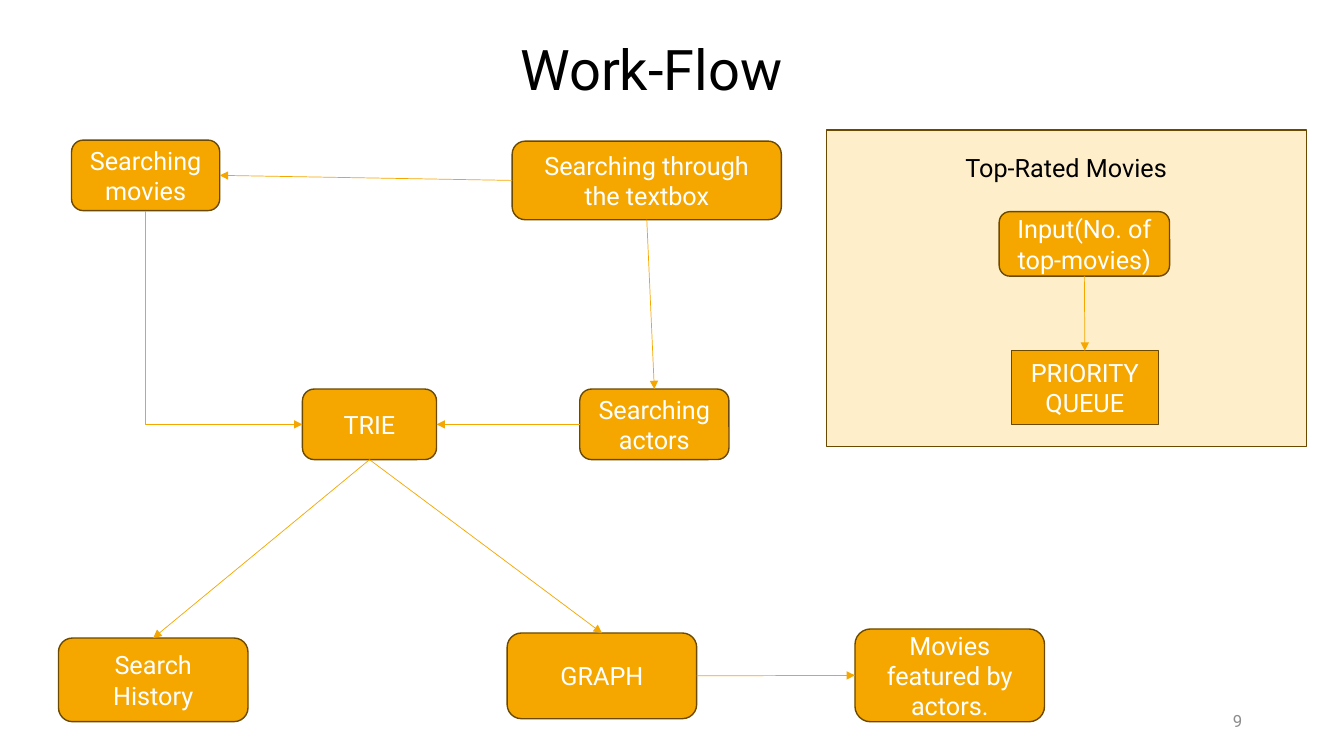
from dataclasses import dataclass
from enum import IntEnum

from lxml.etree import SubElement
from pptx import Presentation
from pptx.dml.color import RGBColor
from pptx.enum.shapes import MSO_CONNECTOR, MSO_SHAPE
from pptx.enum.text import MSO_ANCHOR, PP_ALIGN
from pptx.oxml.ns import qn
from pptx.shapes.autoshape import Shape
from pptx.shapes.connector import Connector
from pptx.slide import Slide
from pptx.util import Emu, Inches, Pt

WIDTH, HEIGHT = Inches(13.33), Inches(7.5)
COLUMNS, ROWS = 133.3, 75


@dataclass(frozen=True)
class Theme:
    font: str = "Roboto"
    node: RGBColor = RGBColor(0xF5, 0xA7, 0x00)
    border: RGBColor = RGBColor(0x6B, 0x49, 0x00)
    panel: RGBColor = RGBColor(0xFF, 0xEE, 0xCA)
    text: RGBColor = RGBColor(0x00, 0x00, 0x00)
    node_text: RGBColor = RGBColor(0xFF, 0xFF, 0xFF)
    number: RGBColor = RGBColor(0x8C, 0x8C, 0x8C)
    title_size: Pt = Pt(40)
    body_size: Pt = Pt(18)
    number_size: Pt = Pt(12)
    border_width: Pt = Pt(1)
    arrow_width: Pt = Pt(0.5)


THEME = Theme()


class Side(IntEnum):
    """Connection sites of a rectangle."""
    TOP = 0
    LEFT = 1
    BOTTOM = 2
    RIGHT = 3


@dataclass(frozen=True)
class Area:
    """A place on the grid, in columns and rows."""
    col: float
    row: float
    cols: float
    rows: float

    def box(self) -> tuple[Emu, Emu, Emu, Emu]:
        col_width, row_height = WIDTH / COLUMNS, HEIGHT / ROWS
        return (Emu(round(self.col * col_width)), Emu(round(self.row * row_height)),
                Emu(round(self.cols * col_width)), Emu(round(self.rows * row_height)))


@dataclass(frozen=True)
class Node:
    text: str
    area: Area
    kind: MSO_SHAPE = MSO_SHAPE.ROUNDED_RECTANGLE


@dataclass(frozen=True)
class Arrow:
    start: str
    start_side: Side
    end: str
    end_side: Side
    bent: bool = False


TITLE = Area(19.3, 2.9, 90.6, 7.7)
PANEL = Area(82, 12.9, 47.6, 31.4)
PANEL_TITLE = Area(90.1, 14.6, 31.3, 4)
NUMBER = Area(94.2, 69.5, 30, 4)

NODES = {
    "movies": Node("Searching movies", Area(7.1, 13.9, 14.7, 7)),
    "textbox": Node("Searching through the textbox", Area(50.8, 14, 26.7, 7.8)),
    "trie": Node("TRIE", Area(30, 38.6, 13.3, 7)),
    "actors": Node("Searching actors", Area(57.5, 38.6, 14.8, 7)),
    "history": Node("Search History", Area(5.8, 63.3, 18.8, 8.3)),
    "graph": Node("GRAPH", Area(50.3, 62.8, 18.8, 8.5)),
    "featured": Node("Movies featured by actors.", Area(84.8, 62.4, 18.8, 9.2)),
    "input": Node("Input(No. of top-movies)", Area(99.1, 21, 16.9, 6.4)),
    "queue": Node("PRIORITY QUEUE", Area(100.3, 34.8, 14.6, 7.3), MSO_SHAPE.RECTANGLE),
}

ARROWS = [
    Arrow("textbox", Side.LEFT, "movies", Side.RIGHT),
    Arrow("textbox", Side.BOTTOM, "actors", Side.TOP),
    Arrow("movies", Side.BOTTOM, "trie", Side.LEFT, bent=True),
    Arrow("actors", Side.LEFT, "trie", Side.RIGHT),
    Arrow("trie", Side.BOTTOM, "history", Side.TOP),
    Arrow("trie", Side.BOTTOM, "graph", Side.TOP),
    Arrow("graph", Side.RIGHT, "featured", Side.LEFT),
    Arrow("input", Side.BOTTOM, "queue", Side.TOP),
]


def write(sp: Shape, text: str, size: Pt, color: RGBColor,
          align: PP_ALIGN = PP_ALIGN.CENTER,
          anchor: MSO_ANCHOR = MSO_ANCHOR.MIDDLE) -> None:
    tf = sp.text_frame
    tf.text = text
    tf.word_wrap = True
    tf.vertical_anchor = anchor
    p = tf.paragraphs[0]
    p.alignment = align
    p.font.name = THEME.font
    p.font.size = size
    p.font.color.rgb = color


def add_box(s: Slide, kind: MSO_SHAPE, area: Area, fill: RGBColor) -> Shape:
    sp = s.shapes.add_shape(kind, *area.box())
    sp.shadow.inherit = False
    sp.fill.solid()
    sp.fill.fore_color.rgb = fill
    sp.line.color.rgb = THEME.border
    sp.line.width = THEME.border_width
    return sp


def add_node(s: Slide, node: Node) -> Shape:
    sp = add_box(s, node.kind, node.area, THEME.node)
    write(sp, node.text, THEME.body_size, THEME.node_text)
    return sp


def bend_down_then_right(line: Connector) -> None:
    """Turn a connector into one corner; its frame is rotated, so its sides swap."""
    across, down = line.width, line.height
    shift = (across - down) // 2
    line.left, line.top = line.left + shift, line.top - shift
    line.width, line.height = down, across
    properties = line._element.spPr
    frame = properties.find(qn("a:xfrm"))
    frame.set("rot", str(270 * 60000))
    frame.set("flipH", "1")
    properties.find(qn("a:prstGeom")).set("prst", "bentConnector2")


def add_arrow(s: Slide, arrow: Arrow, shapes: dict[str, Shape]) -> None:
    kind = MSO_CONNECTOR.ELBOW if arrow.bent else MSO_CONNECTOR.STRAIGHT
    line = s.shapes.add_connector(kind, 0, 0, 0, 0)
    line.begin_connect(shapes[arrow.start], arrow.start_side)
    line.end_connect(shapes[arrow.end], arrow.end_side)
    if arrow.bent:
        bend_down_then_right(line)
    line.line.color.rgb = THEME.node
    line.line.width = THEME.arrow_width
    properties = line._element.spPr
    SubElement(properties.find(qn("a:ln")), qn("a:tailEnd"), type="triangle")
    SubElement(properties, qn("a:effectLst"))


def main() -> None:
    prs = Presentation()
    prs.slide_width, prs.slide_height = WIDTH, HEIGHT
    s = prs.slides.add_slide(prs.slide_layouts.get_by_name("Title Only"))

    title = s.shapes.title
    title.left, title.top, title.width, title.height = TITLE.box()
    write(title, "Work-Flow", THEME.title_size, THEME.text, anchor=MSO_ANCHOR.TOP)

    add_box(s, MSO_SHAPE.RECTANGLE, PANEL, THEME.panel)
    write(s.shapes.add_textbox(*PANEL_TITLE.box()), "Top-Rated Movies",
          THEME.body_size, THEME.text, anchor=MSO_ANCHOR.TOP)
    write(s.shapes.add_textbox(*NUMBER.box()), "9",
          THEME.number_size, THEME.number, align=PP_ALIGN.RIGHT)

    shapes = {name: add_node(s, node) for name, node in NODES.items()}
    for arrow in ARROWS:
        add_arrow(s, arrow, shapes)

    prs.save("out.pptx")


if __name__ == "__main__":
    main()
